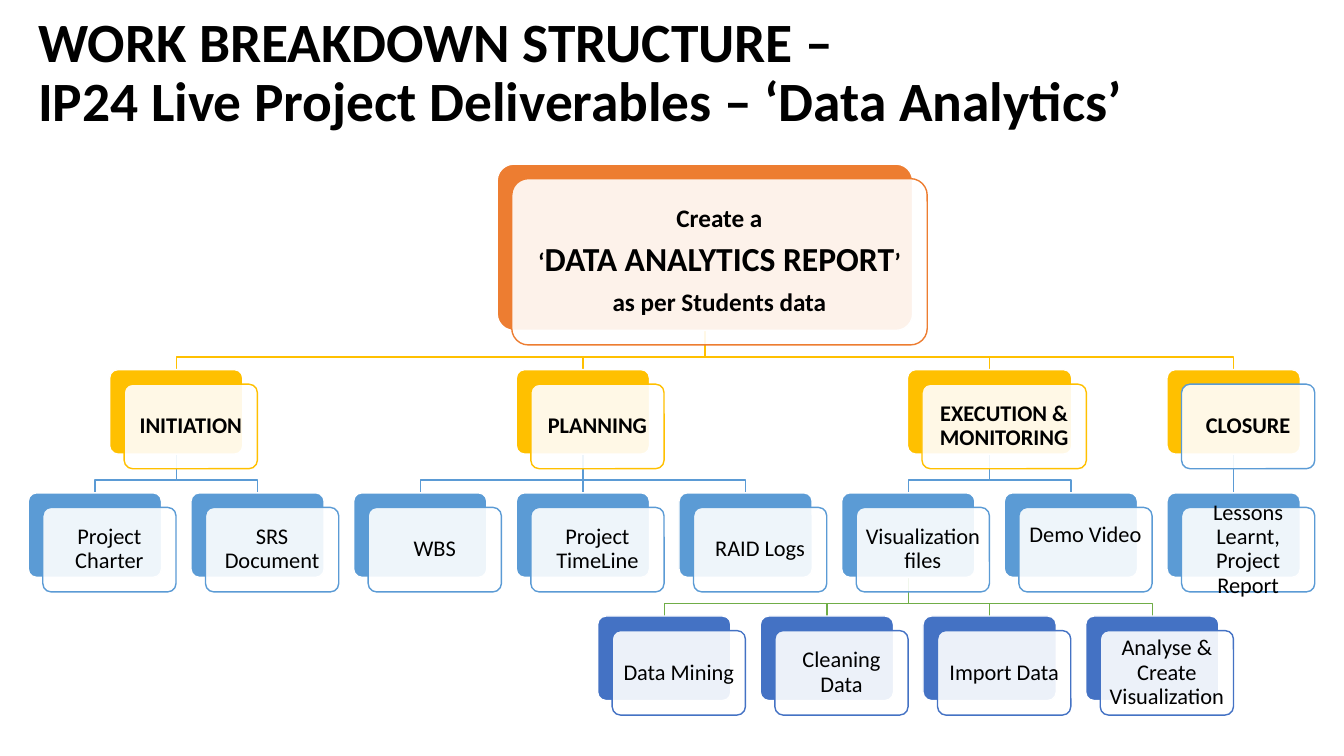
import pptx
import pptx.dml.color
import pptx.enum.shapes
import pptx.enum.text
import pptx.oxml
import pptx.oxml.ns
import pptx.util

Pt = pptx.util.Pt
qn = pptx.oxml.ns.qn

FONT = "Calibri"
COLORS = {
    "text": "000000", "white": "FFFFFF", "root": "ED7D31", "phase": "FFC000",
    "deliverable": "5B9BD5", "task": "4472C4", "task_line": "70AD47",
}

COLUMN_0, COLUMN_PITCH = 67.8, 116.2  # centre of the first column, column spacing
ROOT_COLUMN, ROOT_TOP = 3.75, 117.2
ROOT_W, ROOT_H = 296.8, 118.8
BOX_W, BOX_H = 95.2, 60.4
WIDE_W = 117.4
PHASE_TOP, ROW_PITCH = 264, 88
DELIVERABLE_TOP = PHASE_TOP + ROW_PITCH
TASK_TOP = DELIVERABLE_TOP + ROW_PITCH
CARD_SHIFT = 10.4
BEND_ABOVE_CHILD = 9

ROOT_TEXT = [
    [("Create a", 18)],
    [("‘", 18), ("DATA ANALYTICS REPORT", 24), ("’", 18)],
    [("as per Students data", 18)],
]

# name, column, box width, card outline, deliverables as (name, column)
PHASES = [
    ("INITIATION", 0.5, BOX_W, "phase",
     [("Project Charter", 0), ("SRS Document", 1)]),
    ("PLANNING", 3, BOX_W, "phase",
     [("WBS", 2), ("Project TimeLine", 3), ("RAID Logs", 4)]),
    ("EXECUTION & MONITORING", 5.5, WIDE_W, "phase",
     [("Visualization files", 5), ("Demo Video", 6)]),
    ("CLOSURE", 7, BOX_W, "deliverable",
     [("Lessons Learnt, Project Report", 7)]),
]
TASK_PARENT_COLUMN = 5
TASKS = [("Data Mining", 3.5), ("Cleaning Data", 4.5), ("Import Data", 5.5),
         ("Analyse & Create Visualization", 6.5)]
TEXT_LIFT = {"Demo Video": 20}  # extra bottom inset


def rgb(name):
    return pptx.dml.color.RGBColor.from_string(COLORS[name])


def center_x(column):
    return COLUMN_0 + COLUMN_PITCH * column


def add_run(p, text, size, bold):
    r = p.add_run()
    r.text = text
    r.font.name = FONT
    r.font.size = Pt(size)
    r.font.bold = bold
    r.font.color.rgb = rgb("text")


def add_title(slide, lines):
    sp = slide.shapes.add_textbox(Pt(20.2), Pt(0.7), Pt(828), Pt(104.4))
    tf = sp.text_frame
    tf.word_wrap = True
    tf.vertical_anchor = pptx.enum.text.MSO_ANCHOR.MIDDLE
    p = tf.paragraphs[0]
    p.line_spacing = 0.9
    for i, line in enumerate(lines):
        if i:
            p.add_line_break()
        add_run(p, line, 39.6, True)


def add_branch(slide, parent_column, parent_bottom, child_column, child_top, color):
    """Line from the foot of a parent box to the head of a child box."""
    x1, x2 = center_x(parent_column), center_x(child_column)
    if parent_column == child_column:
        sp = slide.shapes.add_connector(
            pptx.enum.shapes.MSO_CONNECTOR.STRAIGHT,
            Pt(x1), Pt(parent_bottom), Pt(x2), Pt(child_top))
        pptx.oxml.ns  # namespace map used by qn
        sp._element.spPr.append(
            sp._element.spPr.makeelement(qn("a:effectLst"), {}))
        sp.line.color.rgb = rgb(color)
    else:
        bend = child_top - BEND_ABOVE_CHILD
        fb = slide.shapes.build_freeform(Pt(x1), Pt(parent_bottom))
        fb.add_line_segments([(Pt(x1), Pt(bend)), (Pt(x2), Pt(bend)),
                              (Pt(x2), Pt(child_top))], close=False)
        sp = fb.convert_to_shape()
        sp.shadow.inherit = False
        sp.fill.background()
        sp.line.color.rgb = rgb(color)
    sp.line.width = Pt(1)


def add_round_rect(slide, x, y, w, h, fill, line):
    sp = slide.shapes.add_shape(
        pptx.enum.shapes.MSO_SHAPE.ROUNDED_RECTANGLE, Pt(x), Pt(y), Pt(w), Pt(h))
    sp.adjustments[0] = 0.1
    sp.shadow.inherit = False
    sp.fill.solid()
    sp.fill.fore_color.rgb = rgb(fill)
    sp.line.color.rgb = rgb(line)
    sp.line.width = Pt(1)
    return sp


def add_box(slide, column, y, w, h, color, paragraphs, outline=None, bold=False, lift=0):
    """Coloured plate with a translucent text card shifted in front of it."""
    x = center_x(column) - w / 2
    add_round_rect(slide, x, y, w, h, color, "white")
    card = add_round_rect(slide, x + CARD_SHIFT, y + CARD_SHIFT, w, h,
                          "white", outline or color)
    srgb = card._element.spPr.find(qn("a:solidFill")).find(qn("a:srgbClr"))
    srgb.append(srgb.makeelement(qn("a:alpha"), {"val": "90000"}))
    tf = card.text_frame
    tf.word_wrap = True
    tf.vertical_anchor = pptx.enum.text.MSO_ANCHOR.MIDDLE
    tf.margin_left = tf.margin_right = tf.margin_top = Pt(5)
    tf.margin_bottom = Pt(5 + lift)
    for i, runs in enumerate(paragraphs):
        p = tf.add_paragraph() if i else tf.paragraphs[0]
        p.alignment = pptx.enum.text.PP_ALIGN.CENTER
        p.line_spacing = 0.9
        p.space_after = Pt(round(0.35 * max(size for _, size in runs), 1))
        for text, size in runs:
            add_run(p, text, size, bold)


def add_branches(slide):
    for _, column, _, _, deliverables in PHASES:
        add_branch(slide, ROOT_COLUMN, ROOT_TOP + ROOT_H, column, PHASE_TOP, "phase")
        for _, child in deliverables:
            add_branch(slide, column, PHASE_TOP + BOX_H, child, DELIVERABLE_TOP,
                       "deliverable")
    for _, child in TASKS:
        add_branch(slide, TASK_PARENT_COLUMN, DELIVERABLE_TOP + BOX_H, child, TASK_TOP,
                   "task_line")


def add_boxes(slide):
    add_box(slide, ROOT_COLUMN, ROOT_TOP, ROOT_W, ROOT_H, "root", ROOT_TEXT, bold=True)
    for phase, column, w, outline, deliverables in PHASES:
        add_box(slide, column, PHASE_TOP, w, BOX_H, "phase", [[(phase, 16)]],
                outline, bold=True)
        for name, child in deliverables:
            add_box(slide, child, DELIVERABLE_TOP, BOX_W, BOX_H, "deliverable",
                    [[(name, 16)]], lift=TEXT_LIFT.get(name, 0))
    for name, column in TASKS:
        add_box(slide, column, TASK_TOP, BOX_W, BOX_H, "task", [[(name, 16)]])


def main():
    prs = pptx.Presentation()
    prs.slide_width, prs.slide_height = Pt(960), Pt(540)
    slide = prs.slides.add_slide(prs.slide_layouts[6])
    add_title(slide, ["WORK BREAKDOWN STRUCTURE –",
                      "IP24 Live Project Deliverables – ‘Data Analytics’"])
    add_branches(slide)
    add_boxes(slide)
    prs.save("out.pptx")


if __name__ == "__main__":
    main()
